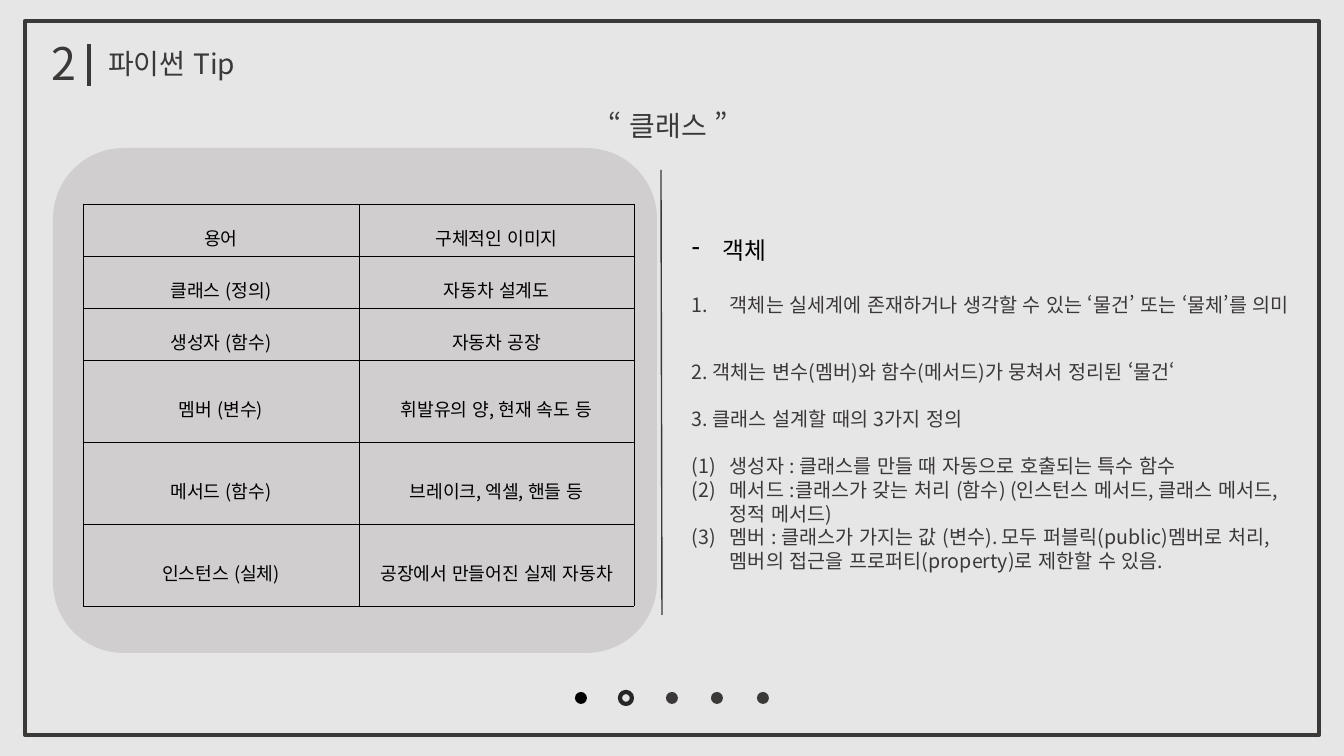
from lxml import etree
from pptx import Presentation, util as u
from pptx.dml.color import RGBColor
from pptx.enum import shapes, text
from pptx.oxml.ns import qn

PX = 914400 / 100.8
FONT = "Noto Sans CJK KR"
DARK = RGBColor(0x3B, 0x38, 0x38)
RING = RGBColor(0x26, 0x26, 0x26)
BLACK = RGBColor(0, 0, 0)
PANEL = RGBColor(0xD0, 0xCE, 0xCE)
PAPER = RGBColor(0xE7, 0xE6, 0xE6)
LEFT, MID = text.PP_ALIGN.LEFT, text.PP_ALIGN.CENTER
KIND = shapes.MSO_SHAPE


def px(*nums):
    return [u.Emu(round(n * PX)) for n in nums]


def style(para, size, color, align=LEFT, pitch=None):
    para.alignment = align
    para.line_spacing = pitch or u.Pt(size * 1.2)
    font = para.font
    font.size, font.name, font.color.rgb = u.Pt(size), FONT, color
    base = para._p.pPr.find(qn("a:defRPr"))
    etree.SubElement(base, qn("a:ea"), typeface=FONT)
    # Korean quotes and line breaks
    for props in [base] + [run._r.get_or_add_rPr() for run in para.runs]:
        props.set("lang", "ko-KR")
        props.set("altLang", "en-US")
    return base


deck = Presentation()
deck.slide_width, deck.slide_height = px(1344, 756)
slide = deck.slides.add_slide(deck.slide_layouts[5])
slide.background.fill.solid()
slide.background.fill.fore_color.rgb = PAPER
items = slide.shapes

# Heading
title = items.title
title.left, title.top, title.width, title.height = px(98, 41, 480, 44)
title.text_frame.text = "파이썬 Tip"
title.text_frame.auto_size = text.MSO_AUTO_SIZE.NONE
title.text_frame.vertical_anchor = text.MSO_ANCHOR.TOP
style(title.text_frame.paragraphs[0], 20, DARK)

# Section number and topic
for words, box, size, align, dent in [
    ("2", (42, 31, 56, 65), 32, LEFT, 0),
    ("“ 클래스 ”", (483, 104, 357, 44), 20, MID, 14),
]:
    frame = items.add_textbox(*px(*box)).text_frame
    frame.word_wrap = True
    frame.text = words
    style(frame.paragraphs[0], size, DARK, align)
    frame.paragraphs[0]._p.pPr.set("marL", str(px(dent)[0]))

# Frame, panel and page dots: kind, box, fill, line
parts = [
    (KIND.RECTANGLE, (25, 21, 1294, 714), None, DARK),
    (KIND.ROUNDED_RECTANGLE, (53, 148, 604, 505), PANEL, None),
]
looks = [(BLACK, None), (None, RING)] + [(DARK, None)] * 3
for i, look in enumerate(looks):
    parts.append((KIND.OVAL, (round(574.6 + 45.6 * i), 692, 12, 12), *look))
for kind, box, fill, line in parts:
    shape = items.add_shape(kind, *px(*box))
    shape.shadow.inherit = False
    if kind == KIND.ROUNDED_RECTANGLE:
        shape.adjustments[0] = 0.14
    if fill is None:
        shape.fill.background()
    else:
        shape.fill.solid()
        shape.fill.fore_color.rgb = fill
    if line is None:
        shape.line.fill.background()
    else:
        shape.line.color.rgb, shape.line.width = line, u.Pt(3)

# Heading bar and column divider
for ends, width in [((89, 44, 89, 86), 3), ((661, 170, 662, 615), 1)]:
    rule = items.add_connector(shapes.MSO_CONNECTOR.STRAIGHT, *px(*ends))
    rule.line.color.rgb, rule.line.width = DARK, u.Pt(width)
    etree.SubElement(rule._element.spPr, qn("a:effectLst"))

# Table of terms
terms = [
    ("용어", "구체적인 이미지"),
    ("클래스 (정의)", "자동차 설계도"),
    ("생성자 (함수)", "자동차 공장"),
    ("멤버 (변수)", "휘발유의 양, 현재 속도 등"),
    ("메서드 (함수)", "브레이크, 엑셀, 핸들 등"),
    ("인스턴스 (실체)", "공장에서 만들어진 실제 자동차"),
]
grid = items.add_table(6, 2, *px(83, 204, 551, 402)).table
grid.first_row = grid.horz_banding = False
for col, wide in zip(grid.columns, px(276, 275)):
    col.width = wide
for r, (row, pair) in enumerate(zip(grid.rows, terms)):
    row.height = px(52 if r < 3 else 82)[0]
    for cell, words in zip(row.cells, pair):
        cell.text = words
        cell.fill.background()
        cell.vertical_anchor = text.MSO_ANCHOR.MIDDLE
        cell.margin_left, cell.margin_right = px(7, 7)
        cell.margin_top, cell.margin_bottom = px(2, 2)
        style(cell.text_frame.paragraphs[0], 13, BLACK, MID, 1.6)
        props = cell._tc.get_or_add_tcPr()
        for k, side in enumerate(("lnL", "lnR", "lnT", "lnB")):
            edge = etree.Element(qn("a:" + side), w="3556")
            ink = etree.SubElement(edge, qn("a:solidFill"))
            etree.SubElement(ink, qn("a:srgbClr"), val=str(BLACK))
            props.insert(k, edge)

# Notes on objects: words, size, colour, space before, indent, bullet
dash = ("buChar", {"char": "-"})
count = ("buAutoNum", {"type": "arabicPeriod"})
paren = ("buAutoNum", {"type": "arabicParenBoth"})
notes = [
    ("객체", 17, BLACK, 0, 31, dash),
    ("객체는 실세계에 존재하거나 생각할 수 있는 ‘물건’ 또는 ‘물체’를 의미",
     14, DARK, 20.4, 38, count),
    ("2. 객체는 변수(멤버)와 함수(메서드)가 뭉쳐서 정리된 ‘물건‘",
     14, DARK, 31.2, 0, None),
    ("3. 클래스 설계할 때의 3가지 정의", 14, DARK, 16.8, 0, None),
    ("생성자 : 클래스를 만들 때 자동으로 호출되는 특수 함수",
     14, DARK, 16.8, 38, paren),
    ("메서드 :클래스가 갖는 처리 (함수) (인스턴스 메서드, 클래스 메서드, 정적 메서드)",
     14, DARK, 0, 38, paren),
    ("멤버 : 클래스가 가지는 값 (변수). 모두 퍼블릭(public)멤버로 처리, "
     "멤버의 접근을 프로퍼티(property)로 제한할 수 있음.",
     14, DARK, 0, 38, paren),
]
frame = items.add_textbox(*px(682, 231, 640, 350)).text_frame
frame.word_wrap = True
frame.text = "\n".join(note[0] for note in notes)
for para, (_, size, color, gap, dent, mark) in zip(frame.paragraphs, notes):
    base = style(para, size, color)
    para.space_before = u.Pt(gap)
    if mark:
        step = px(dent)[0]
        para._p.pPr.set("marL", str(step))
        para._p.pPr.set("indent", str(-step))
        base.addprevious(etree.Element(qn("a:" + mark[0]), mark[1]))

deck.save("out.pptx")
